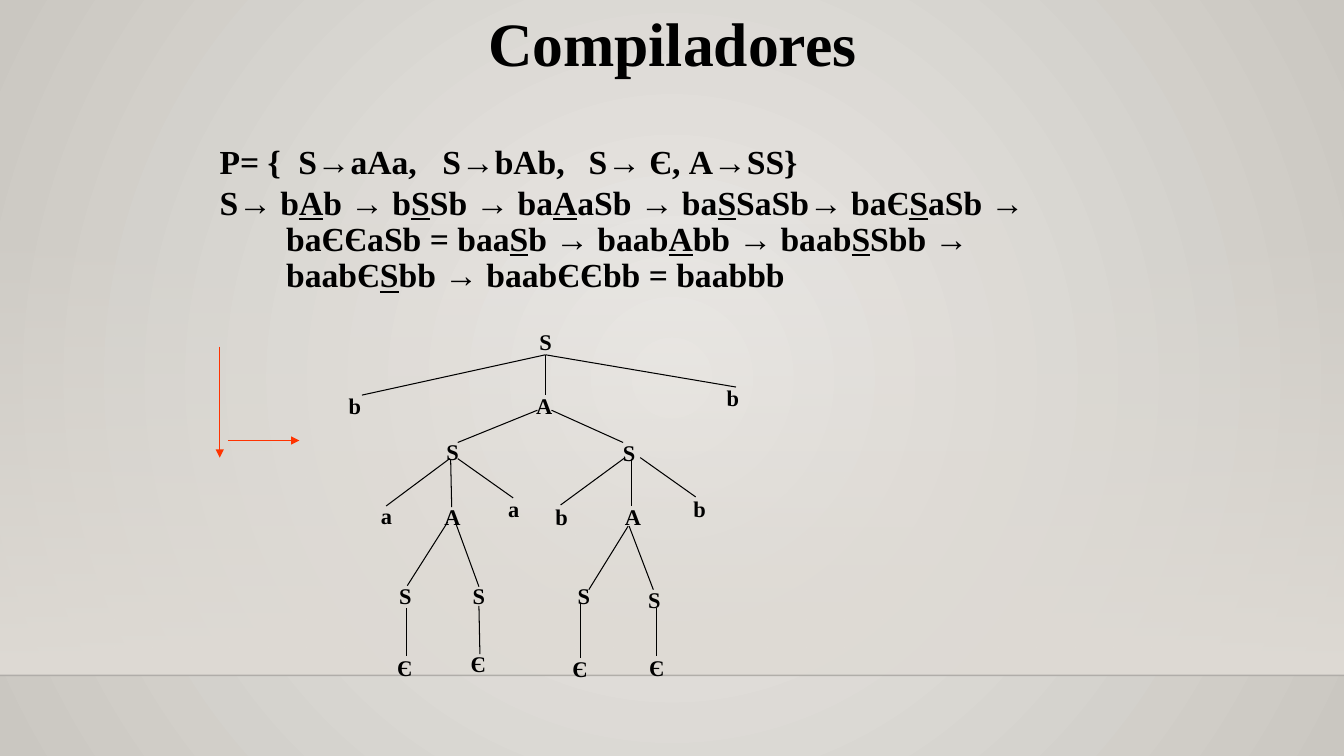
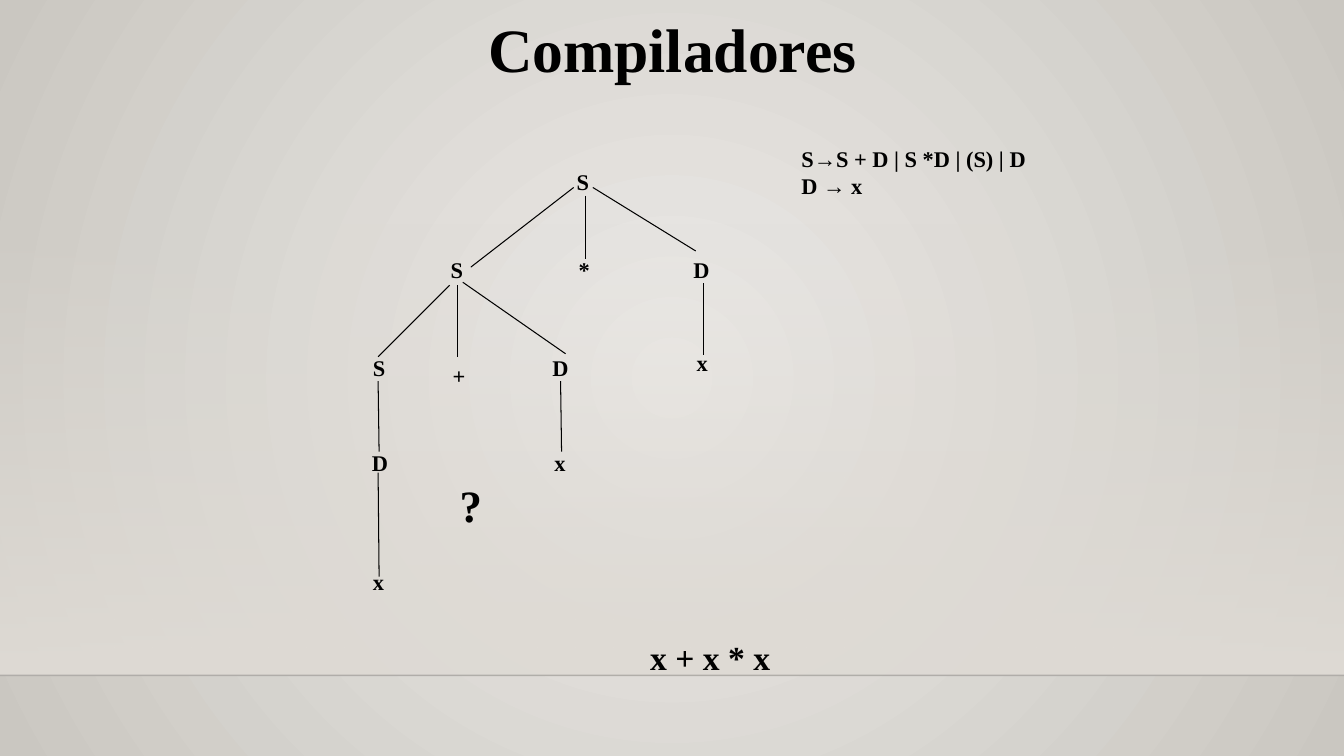
from dataclasses import dataclass
from itertools import groupby

from lxml import etree
from pptx import Presentation
from pptx.dml.color import RGBColor as Rgb
from pptx.enum.shapes import MSO_CONNECTOR as Link, MSO_SHAPE as Shape
from pptx.enum.text import MSO_ANCHOR as Anchor, MSO_AUTO_SIZE as Fit, PP_ALIGN as Align
from pptx.oxml.ns import nsdecls, qn
from pptx.oxml import parse_xml
from pptx.util import Inches, Pt


@dataclass(frozen=True)
class Theme:
    """Colours, fonts and type sizes of the deck."""
    ink: str = "000000"
    rule: str = "000001"
    red: str = "FF3300"
    light: str = "ECEAE7"
    dark: str = "CAC7C1"
    band: str = "DFDBD5"
    font: str = "Times New Roman"
    sign: str = "Arial"
    head: int = 44
    query: int = 32
    body: int = 24
    node: int = 16


T = Theme()
WIDE, HIGH = 13.33, 7.5
ROW = 0.37
WIDTHS = {"S": 0.31, "A": 0.35, "a": 0.31, "b": 0.33, "Є": 0.36,
          "D": 0.37, "x": 0.32, "*": 0.31, "+": 0.35}

WORD = [
    ("S", 1.95, 0.01),
    ("b", 0.06, 0.64, 2.11, 0.32, 0.29, 0.72),
    ("A", 1.92, 0.64, 2.11, 0.32, 2.11, 0.72),
    ("b", 3.81, 0.56, 2.11, 0.32, 4, 0.64),
    ("S", 1.03, 1.1, 2.03, 0.87, 1.24, 1.19),
    ("S", 2.78, 1.11, 2.17, 0.87, 2.88, 1.19),
    ("a", 0.38, 1.73, 1.16, 1.35, 0.53, 1.82),
    ("A", 1.01, 1.74, 1.17, 1.36, 1.18, 1.83),
    ("a", 1.64, 1.66, 1.24, 1.35, 1.79, 1.74),
    ("b", 2.11, 1.74, 2.9, 1.34, 2.26, 1.81),
    ("A", 2.8, 1.74, 2.96, 1.35, 2.96, 1.82),
    ("b", 3.48, 1.66, 3.05, 1.34, 3.6, 1.73),
    ("S", 0.56, 2.53, 1.14, 1.98, 0.74, 2.61),
    ("S", 1.29, 2.53, 1.22, 1.99, 1.45, 2.62),
    ("S", 2.33, 2.53, 2.93, 2.02, 2.54, 2.65),
    ("S", 3.03, 2.57, 2.94, 2.02, 3.18, 2.65),
    ("Є", 0.54, 3.24, 0.73, 2.83, 0.73, 3.31),
    ("Є", 1.27, 3.2, 1.45, 2.81, 1.46, 3.29),
    ("Є", 2.28, 3.25, 2.46, 2.78, 2.46, 3.33),
    ("Є", 3.04, 3.24, 3.21, 2.83, 3.21, 3.31),
]

SUM = [
    ("S", 2.12, 0.02),
    ("S", 0.87, 0.89, 2.19, 0.26, 1.17, 1.05),
    ("*", 2.14, 0.89, 2.31, 0.34, 2.31, 0.97),
    ("D", 3.28, 0.89, 2.38, 0.26, 3.4, 0.89),
    ("x", 3.31, 1.81, 3.48, 1.21, 3.48, 1.92),
    ("S", 0.1, 1.86, 0.96, 1.23, 0.25, 1.94),
    ("+", 0.89, 1.94, 1.04, 1.23, 1.04, 1.94),
    ("D", 1.88, 1.86, 1.09, 1.2, 2.11, 1.91),
    ("D", 0.09, 2.81, 0.25, 2.18, 0.26, 2.88),
    ("x", 1.9, 2.81, 2.06, 2.18, 2.07, 2.88),
    ("x", 0.1, 3.99, 0.25, 3.09, 0.26, 4.12),
]


def write(para, text, size=T.node, align=None, space=None, lead=None):
    """Fill a paragraph; underscores mark underlined spans and arrows take the sign font."""
    para.alignment, para.space_before, para.line_spacing = align, space, lead
    for i, part in enumerate(text.split("_")):
        for sign, chars in groupby(part, lambda c: c == "→"):
            run = para.add_run()
            run.text = "".join(chars)
            font = run.font
            font.name = T.sign if sign else T.font
            font.size, font.bold = Pt(size), True
            font.underline = True if i % 2 else None
            font.color.rgb = Rgb.from_string(T.ink)


def label(slide, text, x, y, w, h=ROW, wrap=False, **style):
    """Place a text box with one paragraph per line and return its paragraphs."""
    box = slide.shapes.add_textbox(Inches(x), Inches(y), Inches(w), Inches(h))
    frame = box.text_frame
    frame.word_wrap = wrap
    for i, line in enumerate(text.split("\n")):
        write(frame.add_paragraph() if i else frame.paragraphs[0], line, **style)
    return frame.paragraphs


def stroke(slide, x1, y1, x2, y2, color=T.ink, width=0.75, arrow=False):
    """Draw a straight line, with an arrowhead at its end if asked."""
    line = slide.shapes.add_connector(
        Link.STRAIGHT, Inches(x1), Inches(y1), Inches(x2), Inches(y2))
    line.line.color.rgb = Rgb.from_string(color)
    line.line.width = Pt(width)
    if arrow:
        etree.SubElement(line.line._get_or_add_ln(), qn("a:tailEnd"), type="triangle")
    etree.SubElement(line._element.spPr, qn("a:effectLst"))
    return line


def blend(root, first, last, course, alpha=100):
    """Swap the first solid fill under an element for a gradient."""
    grad = parse_xml(
        f'<a:gradFill {nsdecls("a")} rotWithShape="1"><a:gsLst>'
        f'<a:gs pos="0"><a:srgbClr val="{first}"><a:alpha val="{alpha * 1000}"/></a:srgbClr></a:gs>'
        f'<a:gs pos="100000"><a:srgbClr val="{last}"/></a:gs></a:gsLst>{course}</a:gradFill>')
    old = root.xpath(".//a:solidFill")[0]
    old.getparent().replace(old, grad)


def backdrop(layout, slide):
    """Give the layout its background, band and floor line."""
    layout.background.fill.solid()
    layout.background.fill.fore_color.rgb = Rgb.from_string(T.light)
    blend(layout._element.xpath(".//p:bgPr")[0], T.light, T.dark,
          '<a:path path="circle"><a:fillToRect l="50000" t="50000" r="50000" b="50000"/></a:path>')
    band = slide.shapes.add_shape(
        Shape.RECTANGLE, 0, Inches(2.21), Inches(WIDE), Inches(4.49))
    band.shadow.inherit = False
    band.line.fill.background()
    band.fill.solid()
    band.fill.fore_color.rgb = Rgb.from_string(T.band)
    blend(band._element, T.band, T.band, '<a:lin ang="5400000" scaled="0"/>', alpha=0)
    floor = stroke(slide, 0, 6.7, WIDE, 6.7, color=T.rule, width=1)
    tint = floor._element.xpath(".//a:ln//a:srgbClr")[0]
    etree.SubElement(tint, qn("a:alpha"), val="20000")
    for i, item in enumerate((band, floor)):
        item._element.xpath(".//p:cNvPr")[0].set("id", str(100 + i))
        layout.shapes._spTree.insert(2 + i, item._element)


def title(slide, top):
    """Set the centred deck title at the given height."""
    head = slide.shapes.title
    head.left, head.top = Inches(1.67), Inches(top)
    head.width, head.height = Inches(10), Inches(0.84)
    frame = head.text_frame
    frame.auto_size, frame.vertical_anchor = Fit.NONE, Anchor.MIDDLE
    write(frame.paragraphs[0], "Compiladores", size=T.head, align=Align.CENTER)


def tree(slide, left, top, nodes):
    """Draw a derivation tree from nodes that each carry the branch leading to them."""
    for text, x, y, *branch in nodes:
        if branch:
            x1, y1, x2, y2 = branch
            stroke(slide, left + x1, top + y1, left + x2, top + y2)
        label(slide, text, left + x, top + y, WIDTHS[text])


def rules(slide, left, top):
    """Write the productions and the derivation below them."""
    text = ("P= {\tS→aAa,\tS→bAb,\tS→ Є, A→SS}\n"
            "S→ b_A_b → b_S_Sb → ba_A_aSb → ba_S_SaSb→ baЄ_S_aSb → baЄЄaSb = baa_S_b → "
            "baab_A_bb → baab_S_Sbb → baabЄ_S_bb → baabЄЄbb = baabbb")
    first, last = label(slide, text, left, top, 9.15, 5.91, wrap=True,
                        size=T.body, space=Pt(6), lead=0.9)
    last.space_before = Pt(3.5)
    tabs = etree.SubElement(first._p.get_or_add_pPr(), qn("a:tabLst"))
    for stop in (0.78, 2.21, 3.66):
        etree.SubElement(tabs, qn("a:tab"), pos=str(Inches(stop)), algn="l")
    props = last._p.get_or_add_pPr()
    props.set("marL", str(Inches(0.66)))
    props.set("indent", str(-Inches(0.66)))


def axes(slide, left, top):
    """Draw the red arrows that show the reading order."""
    stroke(slide, left, top, left, top + 1.1, color=T.red, arrow=True)
    stroke(slide, left + 0.08, top + 0.93, left + 0.79, top + 0.93, color=T.red, arrow=True)


def derive(slide):
    """Build the slide with the leftmost derivation."""
    title(slide, 0)
    rules(slide, 2.08, 1.39)
    tree(slide, 3.3, 3.2, WORD)
    axes(slide, 2.18, 3.44)


def doubt(slide):
    """Build the slide with the ambiguous expression."""
    title(slide, 0.05)
    tree(slide, 3.5, 1.6, SUM)
    label(slide, "S→S + D | S *D | (S) | D\nD → x", 7.85, 1.39, 2.68, 0.91)
    label(slide, "x + x * x", 6.35, 6.27, 1.45, 0.5, size=T.body)
    label(slide, "?", 4.46, 4.69, 0.39, 0.64, wrap=True, size=T.query)


def main():
    """Build and save the deck."""
    deck = Presentation()
    deck.slide_width, deck.slide_height = Inches(WIDE), Inches(HIGH)
    layout = deck.slide_layouts[5]
    pages = [deck.slides.add_slide(layout) for _ in range(2)]
    backdrop(layout, pages[0])
    for build, page in zip((derive, doubt), pages):
        build(page)
    deck.save("out.pptx")


if __name__ == "__main__":
    main()
